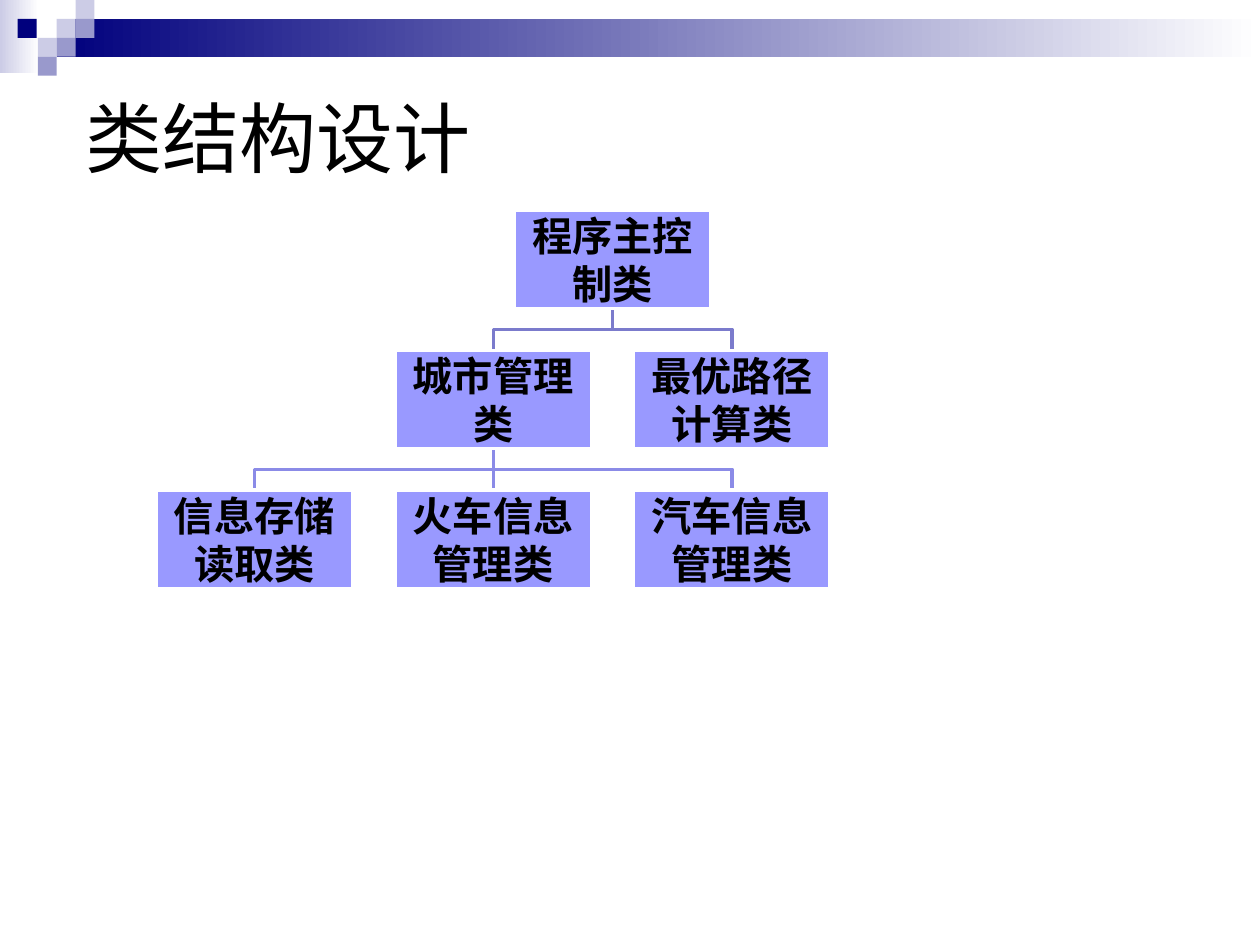
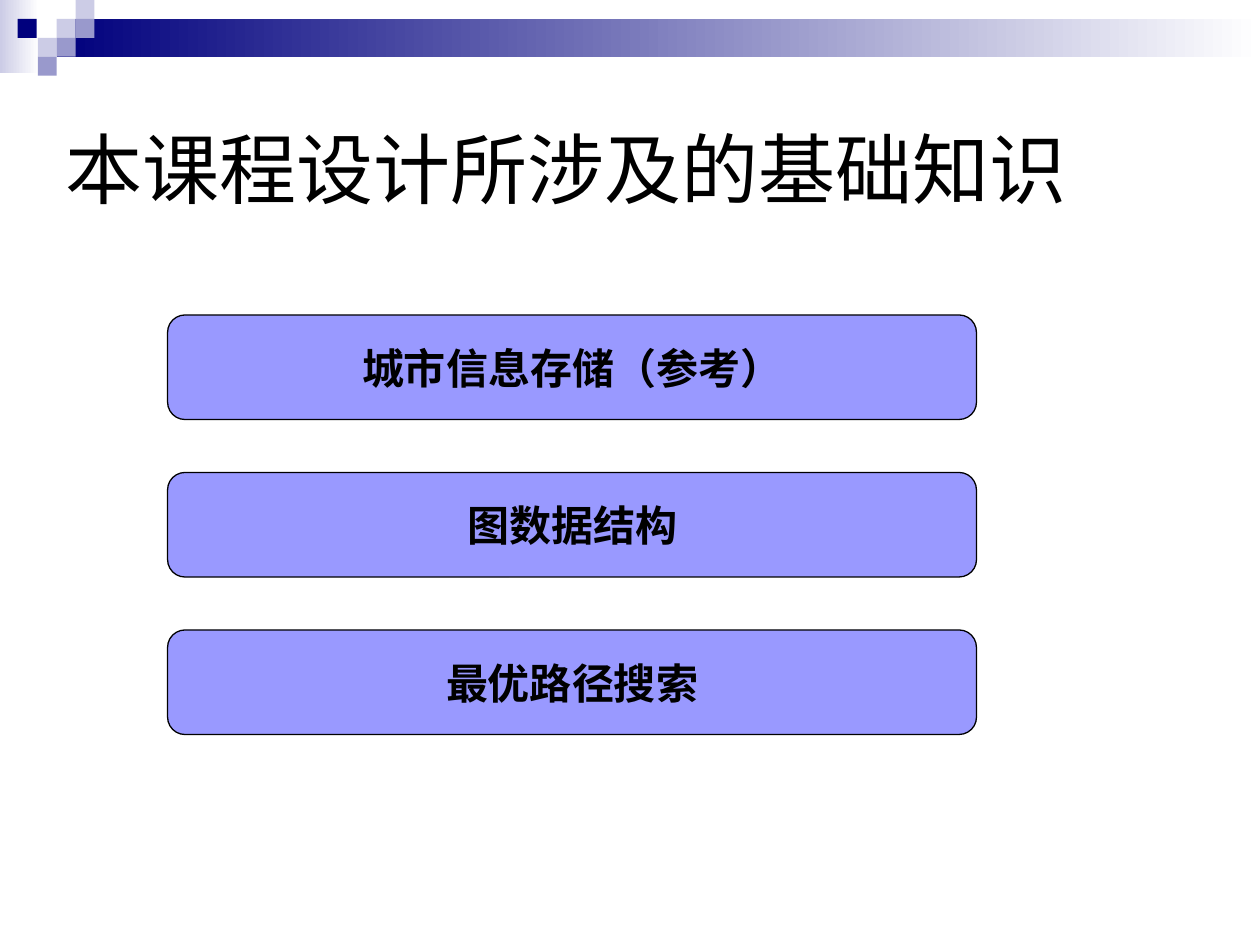
from lxml.etree import SubElement
from pptx import Presentation
from pptx.dml.color import RGBColor
from pptx.enum.shapes import MSO_CONNECTOR, MSO_SHAPE
from pptx.enum.text import MSO_ANCHOR, PP_ALIGN
from pptx.oxml.ns import qn
from pptx.util import Inches, Pt

# Content
CLASS_TITLE = "类结构设计"
# name: (parent, column centre, level)
CLASSES = {
    "程序主控制类": (None, 1.5, 0),
    "城市管理类": ("程序主控制类", 1, 1),
    "最优路径计算类": ("程序主控制类", 2, 1),
    "信息存储读取类": ("城市管理类", 0, 2),
    "火车信息管理类": ("城市管理类", 1, 2),
    "汽车信息管理类": ("城市管理类", 2, 2),
}
TOPICS_TITLE = "本课程设计所涉及的基础知识"
TOPICS = ["城市信息存储（参考）", "图数据结构", "最优路径搜索"]

# Shared style
FONT = "Arial"
COLORS = {
    "navy": "00007D", "pale": "CCCCE6", "lilac": "9999CC", "box": "9999FF",
    "upper_line": "7B7BCC", "lower_line": "8B8BE7",
    "white": "FFFFFF", "black": "000000",
}
TILE = 0.15
BANDS = [(0, 0, 0.31, 0.58, "pale"), (0.45, 0.15, 9.55, 0.3, "navy")]
TILES = [
    (0.45, 0.15, "pale"), (0.6, 0, "pale"), (0.6, 0.15, "lilac"),
    (0.3, 0.3, "pale"), (0.14, 0.15, "navy"), (0.45, 0.3, "lilac"),
    (0.3, 0.45, "lilac"),
]

# Class tree grid
BOX_WIDTH, BOX_HEIGHT = 1.56, 0.78
TREE_LEFT, TREE_TOP = 1.24, 1.67
COLUMN_STEP, LEVEL_STEP = 1.895, 1.11
LEVEL_LINES = {1: "upper_line", 2: "lower_line"}


def color(name):
    return RGBColor.from_string(COLORS[name])


def write(shape, text, size, bold=False, align=PP_ALIGN.LEFT,
          anchor=MSO_ANCHOR.MIDDLE, wrap=True, inset=None):
    frame = shape.text_frame
    frame.word_wrap = wrap
    frame.vertical_anchor = anchor
    if inset is not None:
        frame.margin_left = frame.margin_right = Inches(inset)
        frame.margin_top = frame.margin_bottom = Inches(inset)
    para = frame.paragraphs[0]
    para.alignment = align
    span = para.add_run()
    span.text = text
    span.font.name = FONT
    span.font.size = Pt(size)
    span.font.bold = bold
    span.font.color.rgb = color("black")


def add_box(page, left, top, width, height, fill, line=None, line_width=1,
            kind=MSO_SHAPE.RECTANGLE):
    box = page.shapes.add_shape(kind, Inches(left), Inches(top),
                                Inches(width), Inches(height))
    box.shadow.inherit = False
    box.fill.solid()
    box.fill.fore_color.rgb = color(fill)
    if line:
        box.line.color.rgb = color(line)
        box.line.width = Pt(line_width)
    else:
        box.line.fill.background()
    return box


def add_page(deck, title, left, top):
    page = deck.slides.add_slide(deck.slide_layouts[6])
    # Fading bands and corner tiles
    for *place, shade in BANDS:
        band = add_box(page, *place, shade)
        band.fill.gradient()
        band.fill.gradient_angle = 0
        for stop, name in zip(band.fill.gradient_stops, (shade, "white")):
            stop.color.rgb = color(name)
    for tile_left, tile_top, shade in TILES:
        add_box(page, tile_left, tile_top, TILE, TILE, shade)
    # Title
    box = page.shapes.add_textbox(Inches(left), Inches(top), Inches(9), Inches(0.92))
    write(box, title, 44, anchor=MSO_ANCHOR.BOTTOM)
    return page


def link(page, parent, child, shade):
    start_x, start_y = parent.left + parent.width // 2, parent.top + parent.height
    end_x, end_y = child.left + child.width // 2, child.top
    if start_x == end_x:
        line = page.shapes.add_connector(MSO_CONNECTOR.STRAIGHT,
                                         start_x, start_y, end_x, end_y)
        line.begin_connect(parent, 2)
        line.end_connect(child, 0)
        SubElement(line._element.spPr, qn("a:effectLst"))
    else:
        middle = (start_y + end_y) // 2
        builder = page.shapes.build_freeform(start_x, start_y)
        builder.add_line_segments(
            [(start_x, middle), (end_x, middle), (end_x, end_y)], close=False)
        line = builder.convert_to_shape()
        line.shadow.inherit = False
        line.fill.background()
    line.line.color.rgb = color(shade)
    line.line.width = Pt(2)
    return line


def build_class_page(deck):
    page = add_page(deck, CLASS_TITLE, 0.58, 0.58)
    boxes = {}
    for name, (_, column, level) in CLASSES.items():
        box = add_box(page, TREE_LEFT + column * COLUMN_STEP,
                      TREE_TOP + level * LEVEL_STEP, BOX_WIDTH, BOX_HEIGHT,
                      "box", line="white", line_width=2)
        write(box, name, 23, bold=True, align=PP_ALIGN.CENTER, inset=0)
        boxes[name] = box
    # Lines lie behind the boxes, whose white edges trim their ends
    first_box = boxes[next(iter(CLASSES))]
    for name, (parent, _, level) in CLASSES.items():
        if parent:
            line = link(page, boxes[parent], boxes[name], LEVEL_LINES[level])
            first_box._element.addprevious(line._element)


def build_topics_page(deck):
    page = add_page(deck, TOPICS_TITLE, 0.42, 0.83)
    for row, topic in enumerate(TOPICS):
        box = add_box(page, 1.33, 2.5 + row * 1.25, 6.42, 0.83, "box",
                      line="black", line_width=0.75,
                      kind=MSO_SHAPE.ROUNDED_RECTANGLE)
        write(box, topic, 24, bold=True, align=PP_ALIGN.CENTER, wrap=False)


def main():
    deck = Presentation()
    deck.slide_width, deck.slide_height = Inches(10), Inches(7.5)
    build_class_page(deck)
    build_topics_page(deck)
    deck.save("out.pptx")


if __name__ == "__main__":
    main()
